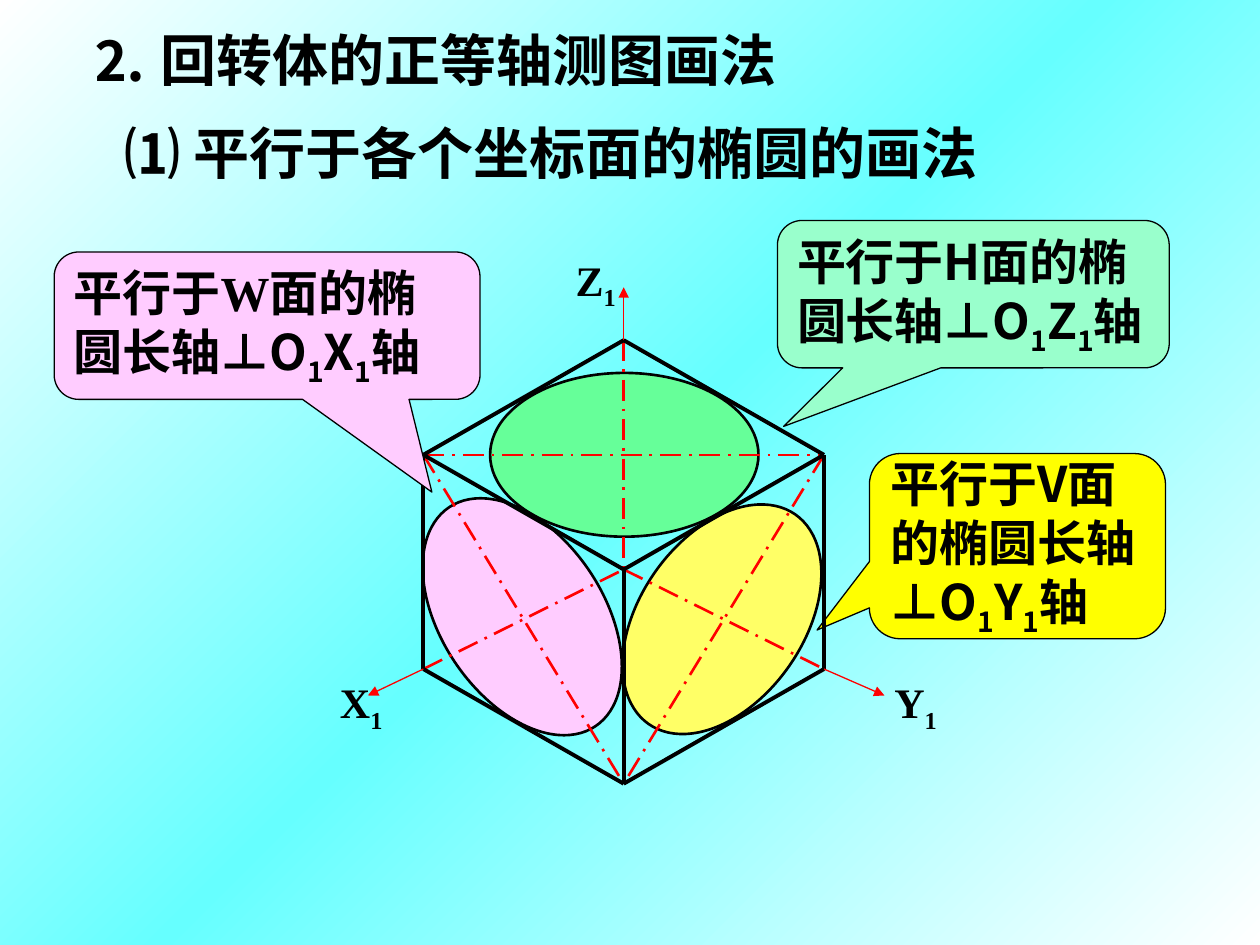
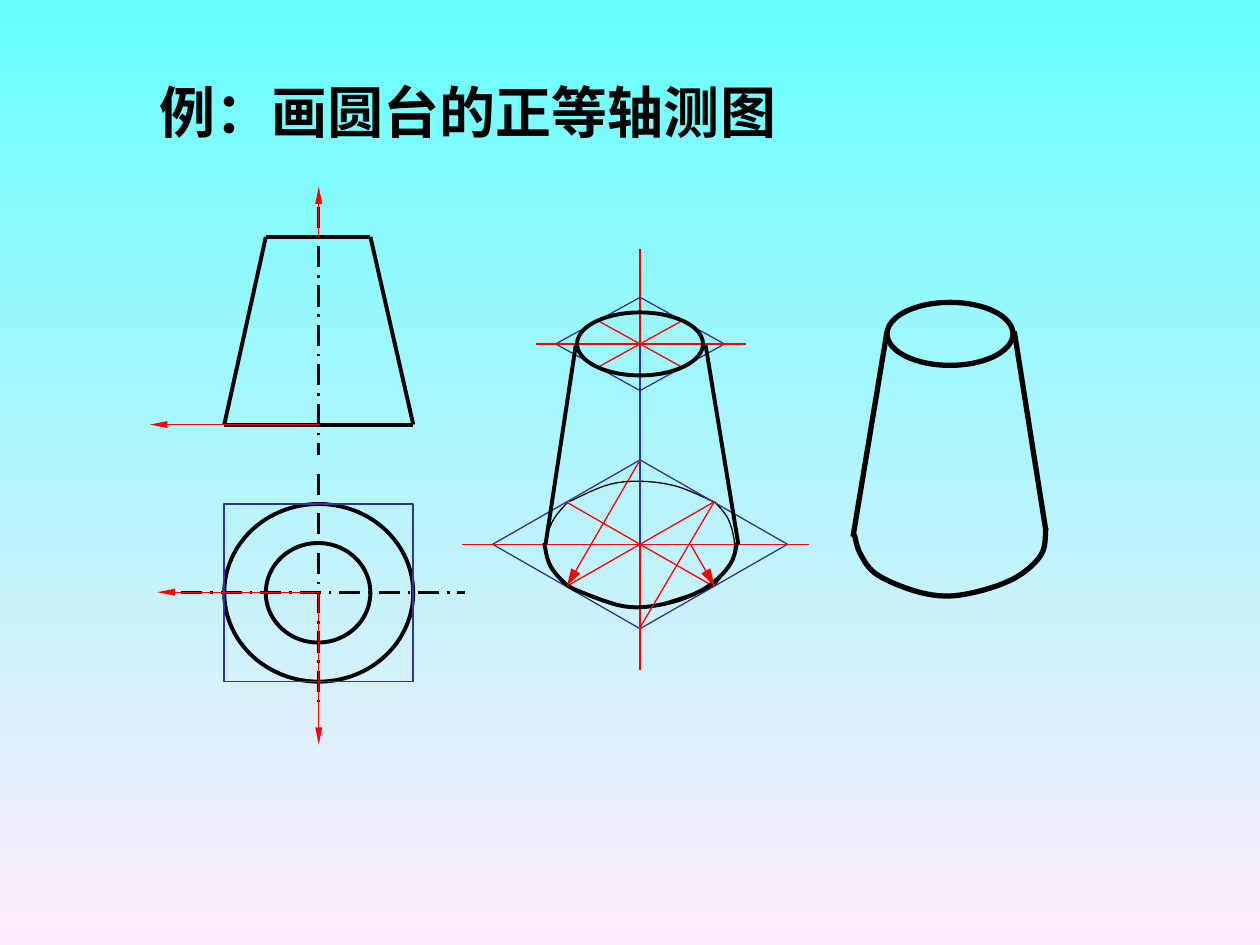
from dataclasses import dataclass
from itertools import pairwise
from typing import Optional

from lxml.etree import SubElement
from pptx import Presentation
from pptx.dml.color import RGBColor
from pptx.enum.dml import MSO_LINE
from pptx.enum.shapes import MSO_CONNECTOR, MSO_SHAPE
from pptx.enum.text import MSO_ANCHOR, MSO_AUTO_SIZE, PP_ALIGN
from pptx.oxml.ns import qn
from pptx.util import Inches, Pt

# Shared colours and fonts
BLACK, RED, NAVY = "000000", "FF0000", "333399"
CYAN, WHITE, BLUSH = "66FFFF", "FFFFFF", "FFEBFA"
PINK, GREEN, LEMON = "FFCCFF", "66FF99", "FFFF66"
MINT, YELLOW = "99FFCC", "FFFF00"
SANS, SERIF, CJK = "Arial", "Times New Roman", "Noto Sans CJK SC"

Point = tuple[float, float]


@dataclass(frozen=True)
class Arrow:
    width: str = "med"
    length: str = "med"


@dataclass(frozen=True)
class Pen:
    color: str
    width: float
    dashed: bool = False
    arrow: Optional[Arrow] = None


@dataclass(frozen=True)
class Box:
    left: float
    top: float
    width: float
    height: float

    def inches(self) -> tuple:
        return tuple(map(Inches, (self.left, self.top, self.width, self.height)))


@dataclass(frozen=True)
class Ellipse:
    box: Box
    pen: Pen
    fill: Optional[str] = None
    rotation: float = 0


@dataclass(frozen=True)
class TextLine:
    text: str  # "_" marks the next character as a subscript
    font: str = CJK


@dataclass(frozen=True)
class Callout:
    box: Box
    fill: str
    pointer: Point
    lines: tuple[TextLine, ...]


THIN = Pen(BLACK, 0.75)
MEDIUM = Pen(BLACK, 1.5)
THICK = Pen(BLACK, 2.25)
HEAVY = Pen(BLACK, 3)
CENTER = Pen(BLACK, 1.5, dashed=True)
RED_CENTER = Pen(RED, 1.5, dashed=True)
RED_THIN = Pen(RED, 0.75)
AXIS_ARROW = Pen(RED, 0.75, arrow=Arrow())
VIEW_ARROW = Pen(RED, 0.75, arrow=Arrow("sm", "lg"))
RADIUS_ARROW = Pen(RED, 0.75, arrow=Arrow("med", "lg"))
NAVY_THIN = Pen(NAVY, 0.75)


def rgb(color: str) -> RGBColor:
    return RGBColor.from_string(color)


def set_background(slide, stops: list[tuple[int, str]], angle: int) -> None:
    fill = slide.background.fill
    fill.gradient()
    fill.gradient_angle = angle
    stop_list = slide.element.find(".//" + qn("a:gsLst"))
    for stop in list(stop_list):
        stop_list.remove(stop)
    for percent, color in stops:
        stop = SubElement(stop_list, qn("a:gs"), pos=str(percent * 1000))
        SubElement(stop, qn("a:srgbClr"), val=color)


def apply_pen(line, pen: Pen) -> None:
    line.color.rgb = rgb(pen.color)
    line.width = Pt(pen.width)
    if pen.dashed:
        line.dash_style = MSO_LINE.LONG_DASH_DOT


def style_shape(shape, pen: Pen, fill: Optional[str] = None) -> None:
    shape.shadow.inherit = False
    apply_pen(shape.line, pen)
    if fill:
        shape.fill.solid()
        shape.fill.fore_color.rgb = rgb(fill)
    else:
        shape.fill.background()


def draw_line(slide, start: Point, end: Point, pen: Pen) -> None:
    connector = slide.shapes.add_connector(
        MSO_CONNECTOR.STRAIGHT, *map(Inches, (*start, *end)))
    apply_pen(connector.line, pen)
    properties = connector._element.spPr
    if pen.arrow:
        SubElement(properties.find(qn("a:ln")), qn("a:tailEnd"), type="triangle",
                   w=pen.arrow.width, len=pen.arrow.length)
    SubElement(properties, qn("a:effectLst"))


def draw_path(slide, points: list[Point], pen: Pen) -> None:
    for start, end in pairwise(points):
        draw_line(slide, start, end, pen)


def draw_ellipse(slide, ellipse: Ellipse) -> None:
    shape = slide.shapes.add_shape(MSO_SHAPE.OVAL, *ellipse.box.inches())
    shape.rotation = ellipse.rotation
    style_shape(shape, ellipse.pen, ellipse.fill)


def draw_curve(slide, knots: list[Point], pen: Pen) -> None:
    """Draw a smooth curve: one cubic segment between each two knots."""
    builder = slide.shapes.build_freeform(*map(Inches, knots[0]))
    builder.add_line_segments([tuple(map(Inches, knot)) for knot in knots[1:]],
                              close=False)
    shape = builder.convert_to_shape()
    style_shape(shape, pen)
    outline = shape._element.find(".//" + qn("a:path"))
    local = [(int(pt.get("x")), int(pt.get("y"))) for pt in outline.iter(qn("a:pt"))]
    for segment in outline.findall(qn("a:lnTo")):
        outline.remove(segment)
    padded = [local[0], *local, local[-1]]
    for before, start, end, after in zip(padded, padded[1:], padded[2:], padded[3:]):
        leave = [s + (e - b) / 6 for b, s, e in zip(before, start, end)]
        arrive = [e - (a - s) / 6 for s, e, a in zip(start, end, after)]
        cubic = SubElement(outline, qn("a:cubicBezTo"))
        for x, y in (leave, arrive, end):
            SubElement(cubic, qn("a:pt"), x=str(round(x)), y=str(round(y)))


def write_line(paragraph, line: TextLine, size: int) -> None:
    first, *rest = line.text.split("_")
    pieces = [(first, False)]
    for part in rest:
        pieces += [(part[0], True), (part[1:], False)]
    for text, subscript in pieces:
        if not text:
            continue
        run = paragraph.add_run()
        run.text = text
        font = run.font
        font.name, font.size, font.bold = line.font, Pt(size), True
        font.color.rgb = rgb(BLACK)
        properties = run._r.get_or_add_rPr()
        SubElement(properties, qn("a:ea"), typeface=CJK)
        if subscript:
            properties.set("baseline", "-25000")


def draw_text(slide, box: Box, line: TextLine, size: int, wrap: bool = False) -> None:
    frame = slide.shapes.add_textbox(*box.inches()).text_frame
    frame.word_wrap = wrap
    frame.auto_size = MSO_AUTO_SIZE.SHAPE_TO_FIT_TEXT
    write_line(frame.paragraphs[0], line, size)


def draw_title(slide, box: Box, text: str, font: str, wrap: bool = False) -> None:
    draw_text(slide, box, TextLine(text, font), 32, wrap)


def draw_callout(slide, callout: Callout) -> None:
    shape = slide.shapes.add_shape(
        MSO_SHAPE.ROUNDED_RECTANGULAR_CALLOUT, *callout.box.inches())
    for index, value in enumerate((*callout.pointer, 0.167)):
        shape.adjustments[index] = value
    style_shape(shape, THIN, callout.fill)
    frame = shape.text_frame
    frame.word_wrap = False
    frame.vertical_anchor = MSO_ANCHOR.MIDDLE
    for index, line in enumerate(callout.lines):
        paragraph = frame.add_paragraph() if index else frame.paragraphs[0]
        paragraph.alignment = PP_ALIGN.LEFT
        write_line(paragraph, line, 28)


def build_cube_slide(slide) -> None:
    set_background(slide, [(0, WHITE), (50, CYAN), (100, WHITE)], 135)

    # Cube corners
    left, middle, right = 3.36, 4.95, 6.54
    top, center, bottom = (middle, 2.7), (middle, 4.52), (middle, 6.22)
    upper_left, upper_right = (left, 3.61), (right, 3.61)
    lower_left, lower_right = (left, 5.31), (right, 5.31)

    # Ellipses on the three faces, with their centre lines
    draw_ellipse(slide, Ellipse(Box(3.89, 2.96, 2.13, 1.3), MEDIUM, GREEN))
    draw_ellipse(slide, Ellipse(Box(3.5, 3.85, 1.29, 2.09), MEDIUM, PINK, 326.3))
    for start, end in ((upper_left, upper_right), (upper_left, bottom),
                       (lower_left, center)):
        draw_line(slide, start, end, RED_CENTER)
    draw_ellipse(slide, Ellipse(Box(5.08, 3.9, 1.3, 2.03), MEDIUM, LEMON, 35))
    for start, end in ((upper_right, bottom), (center, lower_right), (top, center)):
        draw_line(slide, start, end, RED_CENTER)

    # Headings
    draw_title(slide, Box(0.63, 0.15, 5.64, 0.64), "⒉ 回转体的正等轴测图画法", SANS)
    draw_title(slide, Box(0.89, 0.89, 7, 0.64),
               "⑴ 平行于各个坐标面的椭圆的画法", SANS)

    # Callouts for the H and V faces
    draw_callout(slide, Callout(
        Box(6.17, 1.75, 3.11, 1.17), MINT, (-0.484, 0.897),
        (TextLine("平行于H面的椭"), TextLine("圆长轴⊥O_1Z_1轴"))))
    draw_callout(slide, Callout(
        Box(6.9, 3.6, 2.35, 1.47), YELLOW, (-0.677, 0.453),
        (TextLine("平行于V面"), TextLine("的椭圆长轴"), TextLine("⊥O_1Y_1轴"))))

    # Cube edges and axes
    draw_path(slide, [top, upper_right, lower_right, bottom, lower_left,
                      upper_left, top], THICK)
    for corner in (upper_left, upper_right, bottom):
        draw_line(slide, center, corner, THICK)
    for start, end in ((top, (middle, 2.28)), (lower_left, (2.92, 5.52)),
                       (lower_right, (7.02, 5.52))):
        draw_line(slide, start, end, AXIS_ARROW)
    for name, x, y in (("X_1", 2.6, 5.32), ("Y_1", 7, 5.32), ("Z_1", 4.47, 1.97)):
        draw_text(slide, Box(x, y, 0.54, 0.56), TextLine(name, SERIF), 24)

    # Callout for the W face
    draw_callout(slide, Callout(
        Box(0.43, 2, 3.38, 1.17), PINK, (0.387, 1.129),
        (TextLine("平行于W面的椭", SERIF), TextLine("圆长轴⊥O_1X_1轴"))))


def draw_views(slide) -> None:
    """Front and top views of the truncated cone."""
    axis, base, plan = 2.53, 3.37, 4.7
    plan_box = Box(1.78, 4, 1.5, 1.41)
    draw_line(slide, (axis, 1.64), (axis, 3.61), CENTER)
    draw_path(slide, [(2.11, 1.88), (2.94, 1.88), (3.28, base), (1.78, base),
                      (2.11, 1.88)], THICK)
    draw_ellipse(slide, Ellipse(plan_box, THICK))
    draw_ellipse(slide, Ellipse(Box(2.11, 4.31, 0.83, 0.79), THICK))
    draw_line(slide, (1.44, plan), (3.69, plan), CENTER)
    draw_line(slide, (axis, 3.76), (axis, 5.57), CENTER)
    square = slide.shapes.add_shape(MSO_SHAPE.RECTANGLE, *plan_box.inches())
    style_shape(square, Pen(NAVY, 1))
    for start, end in (((axis, plan), (axis, 5.91)), ((axis, 1.88), (axis, 1.48)),
                       ((axis, base), (1.19, base)), ((axis, plan), (1.25, plan))):
        draw_line(slide, start, end, VIEW_ARROW)


def draw_rhombus(slide, center: Point, half_width: float, half_height: float) -> None:
    x, y = center
    draw_path(slide, [(x, y - half_height), (x + half_width, y), (x, y + half_height),
                      (x - half_width, y), (x, y - half_height)], NAVY_THIN)
    # Lines joining the middles of opposite sides
    dx, dy = half_width / 2, half_height / 2
    for sign in (1, -1):
        draw_line(slide, (x - dx, y - sign * dy), (x + dx, y + sign * dy), RED_THIN)


def draw_construction(slide) -> None:
    """Four-centre construction of the cone."""
    axis, top, base = 5.08, 2.73, 4.32
    for arc in ([(4.52, 3.98), (4.82, 3.85), (5.08, 3.82), (5.37, 3.86), (5.66, 3.98)],
                [(4.5, 4.65), (4.83, 4.79), (5.08, 4.82), (5.37, 4.78), (5.67, 4.65)],
                [(5.67, 4.65), (5.79, 4.48), (5.83, 4.32), (5.78, 4.12), (5.67, 3.98)],
                [(4.5, 4.65), (4.38, 4.49), (4.33, 4.32), (4.39, 4.13), (4.51, 3.98)]):
        draw_curve(slide, arc, THIN)
    draw_rhombus(slide, (axis, base), 1.17, 0.67)
    draw_line(slide, (axis, 1.98), (axis, 5.32), RED_THIN)
    draw_rhombus(slide, (axis, top), 0.67, 0.37)
    draw_line(slide, (4.25, top), (5.92, top), RED_THIN)
    draw_line(slide, (axis, top), (axis, base), NAVY_THIN)
    draw_line(slide, (3.67, base), (6.42, base), RED_THIN)
    draw_curve(slide, [(4.32, 4.31), (4.35, 4.45), (4.4, 4.54), (4.51, 4.65),
                       (4.64, 4.71), (4.8, 4.77), (4.94, 4.81), (5.08, 4.82),
                       (5.24, 4.8), (5.38, 4.76), (5.52, 4.71), (5.64, 4.64),
                       (5.74, 4.55), (5.8, 4.47), (5.83, 4.4), (5.85, 4.31)], THICK)
    draw_line(slide, (axis, 4.98), (5.67, 3.98), RED_THIN)
    draw_line(slide, (axis, 3.65), (4.5, 4.65), RADIUS_ARROW)
    draw_line(slide, (5.48, base), (5.67, 4.65), RADIUS_ARROW)
    draw_ellipse(slide, Ellipse(Box(4.58, 2.48, 1, 0.5), THICK))
    draw_line(slide, (4.57, 2.74), (4.33, base), THICK)
    draw_line(slide, (5.6, 2.74), (5.86, base), THICK)


def draw_finished_cone(slide) -> None:
    draw_curve(slide, [(6.78, 4.24), (6.83, 4.4), (6.96, 4.56), (7.26, 4.69),
                       (7.54, 4.73), (7.85, 4.67), (8.1, 4.56), (8.27, 4.39),
                       (8.3, 4.19)], HEAVY)
    draw_ellipse(slide, Ellipse(Box(7.04, 2.4, 1, 0.5), HEAVY))
    draw_line(slide, (7.04, 2.63), (6.77, 4.26), HEAVY)
    draw_line(slide, (8.05, 2.63), (8.3, 4.21), HEAVY)


def build_cone_slide(slide) -> None:
    set_background(slide, [(0, CYAN), (100, BLUSH)], 270)
    draw_title(slide, Box(1.17, 0.57, 5.99, 0.64), "例：画圆台的正等轴测图", SERIF, wrap=True)
    draw_views(slide)
    draw_construction(slide)
    draw_finished_cone(slide)


def main() -> None:
    deck = Presentation()
    deck.slide_width, deck.slide_height = Inches(10), Inches(7.5)
    for build in (build_cube_slide, build_cone_slide):
        build(deck.slides.add_slide(deck.slide_layouts[6]))
    deck.save("out.pptx")


if __name__ == "__main__":
    main()
